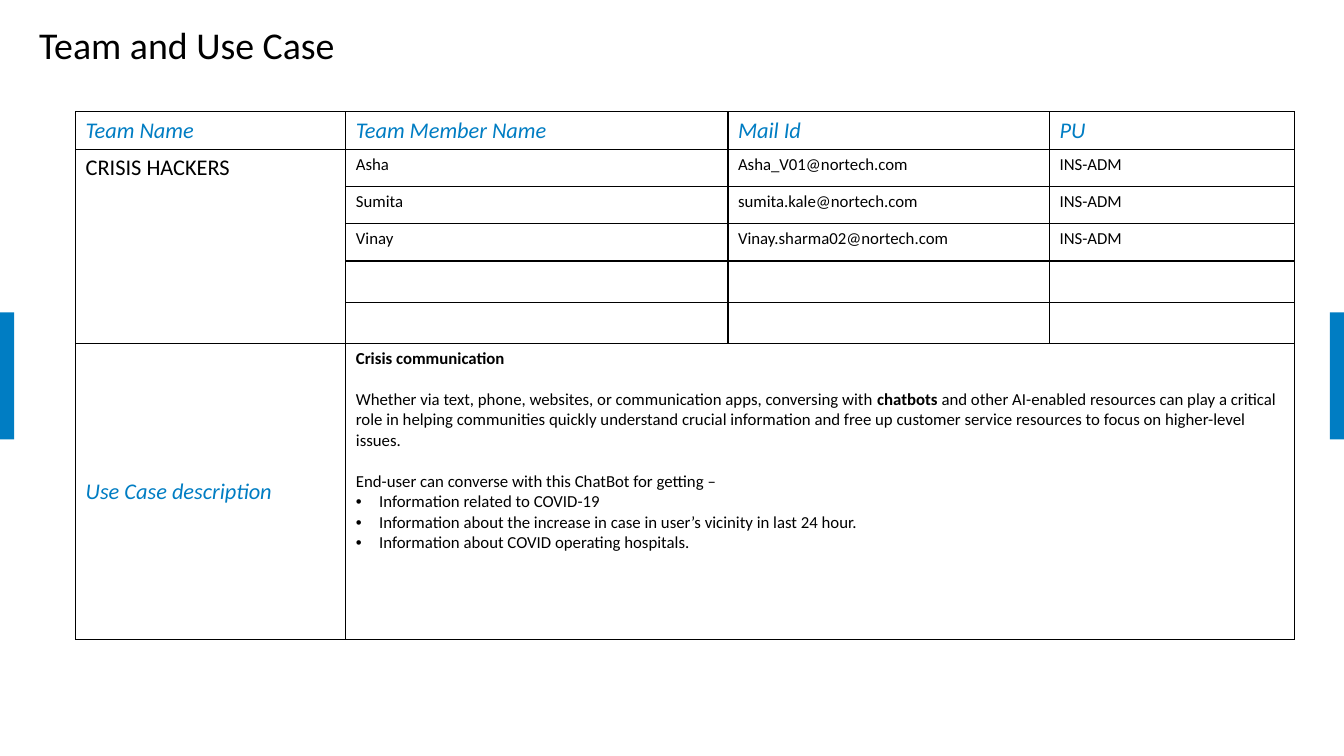
from lxml.etree import SubElement
from pptx import Presentation
from pptx.dml.color import RGBColor
from pptx.enum.shapes import MSO_SHAPE
from pptx.enum.text import MSO_ANCHOR
from pptx.oxml.ns import qn
from pptx.util import Inches, Pt

BLUE, BLACK, WHITE = "007DC3", "000000", "FFFFFF"
HEADING = dict(size=16, color=BLUE, italic=True)
LINE_GAP = 14.6  # one line of 12 pt Calibri


def rgb(value):
    """Turn a hex string into a colour."""
    return RGBColor.from_string(value)


def write(frame, text, size=12, color=BLACK, font="Calibri", italic=False,
          bold=False, before=0, spacing=None, bullet=None, add=False):
    """Write one paragraph; parts between ** marks switch weight."""
    paragraph = frame.add_paragraph() if add else frame.paragraphs[0]
    paragraph.space_before = Pt(before)
    if spacing:
        paragraph.line_spacing = spacing
    if bullet:
        properties = paragraph._p.get_or_add_pPr()
        properties.set("marL", str(Inches(0.23)))
        properties.set("indent", str(Inches(-0.23)))
        SubElement(properties, qn("a:buFont"), typeface="Arial")
        SubElement(properties, qn("a:buChar"), char=bullet)
    for index, part in enumerate(text.split("**")):
        run = paragraph.add_run()
        run.text = part
        run.font.name, run.font.size = font, Pt(size)
        run.font.color.rgb = rgb(color)
        run.font.italic = italic
        run.font.bold = bold != (index % 2 == 1)


class SlideBuilder:
    """Holds the style and the current slide."""

    def __init__(self, slide, border=BLACK, border_width=1):
        """Keep the slide and the table border style."""
        self.slide = slide
        self.border, self.border_width = border, border_width

    def title(self, text, left, top, width, height):
        """Add the slide title."""
        box = self.slide.shapes.add_textbox(
            Inches(left), Inches(top), Inches(width), Inches(height))
        box.text_frame.word_wrap = True
        write(box.text_frame, text, size=27, spacing=0.9)

    def bar(self, left, top, width, height, color):
        """Add a plain coloured rectangle."""
        bar = self.slide.shapes.add_shape(
            MSO_SHAPE.RECTANGLE, Inches(left), Inches(top),
            Inches(width), Inches(height))
        bar.shadow.inherit = False
        bar.fill.solid()
        bar.fill.fore_color.rgb = rgb(color)
        bar.line.fill.background()

    def table(self, left, top, widths, heights):
        """Add an empty white table with ruled cells."""
        table = self.slide.shapes.add_table(
            len(heights), len(widths), Inches(left), Inches(top),
            Inches(sum(widths)), Inches(sum(heights))).table
        table.first_row = table.horz_banding = False
        for column, width in zip(table.columns, widths):
            column.width = Inches(width)
        for row, height in zip(table.rows, heights):
            row.height = Inches(height)
        for cell in table.iter_cells():
            self.rule(cell)
            cell.fill.solid()
            cell.fill.fore_color.rgb = rgb(WHITE)
        return table

    def rule(self, cell):
        """Draw the four borders of a cell."""
        properties = cell._tc.get_or_add_tcPr()
        for side in ("lnL", "lnR", "lnT", "lnB"):
            line = SubElement(properties, qn(f"a:{side}"),
                              w=str(Pt(self.border_width)))
            fill = SubElement(line, qn("a:solidFill"))
            SubElement(fill, qn("a:srgbClr"), val=self.border)


deck = Presentation()
deck.slide_width, deck.slide_height = Inches(13.33), Inches(7.5)
builder = SlideBuilder(deck.slides.add_slide(deck.slide_layouts[6]))

for bar_left in (13.19, 0):
    builder.bar(bar_left, 3.1, 0.14, 1.26, BLUE)
builder.title("Team and Use Case", 0.29, 0.22, 12.72, 0.66)

team = builder.table(0.75, 1.11, [2.68, 3.79, 3.19, 2.43],
                     [0.37] * 4 + [0.41] * 2 + [2.94])
team.cell(1, 0).merge(team.cell(5, 0))
team.cell(6, 1).merge(team.cell(6, 3))

for column, heading in enumerate(
        ["Team Name", "Team Member Name", "Mail Id", "PU"]):
    write(team.cell(0, column).text_frame, heading, **HEADING)

write(team.cell(1, 0).text_frame, "CRISIS HACKERS", size=16)
members = [("Asha", "Asha_V01"), ("Sumita", "sumita.kale"),
           ("Vinay", "Vinay.sharma02")]
for row, (member, mailbox) in enumerate(members, start=1):
    details = [member, f"{mailbox}@nortech.com", "INS-ADM"]
    for column, detail in enumerate(details, start=1):
        write(team.cell(row, column).text_frame, detail)

use_case = team.cell(6, 0)
use_case.vertical_anchor = MSO_ANCHOR.MIDDLE
write(use_case.text_frame, "Use Case description", **HEADING)

description = team.cell(6, 1).text_frame
write(description, "Crisis communication", bold=True)
for passage in [
    "Whether via text, phone, websites, or communication apps, conversing "
    "with **chatbots** and other AI-enabled resources can play a critical "
    "role in helping communities quickly understand crucial information and "
    "free up customer service resources to focus on higher-level issues.",
    "End-user can converse with this ChatBot for getting –",
]:
    write(description, passage, before=LINE_GAP, add=True)
for topic in [
    "Information related to COVID-19",
    "Information about the increase in case in user’s vicinity in last 24 hour.",
    "Information about COVID operating hospitals.",
]:
    write(description, topic, bullet="•", add=True)

deck.save("out.pptx")
